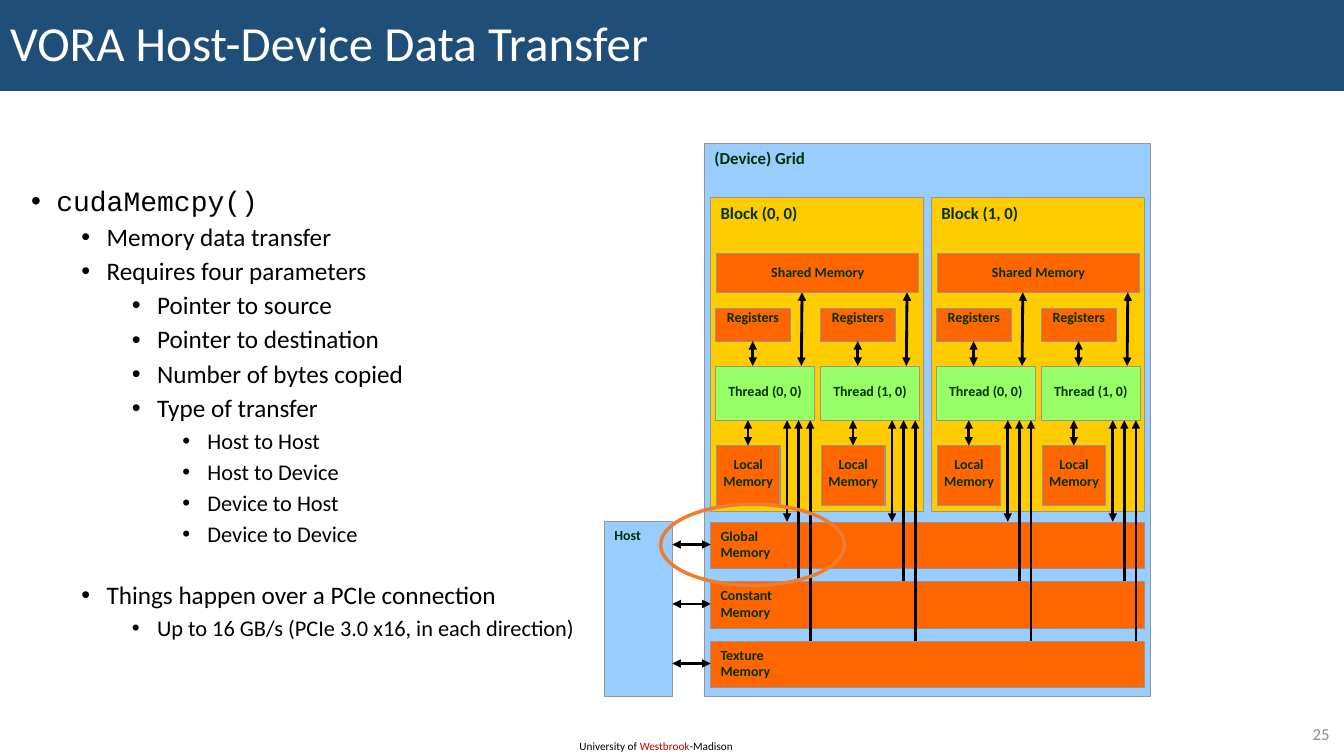
from lxml import etree
from pptx import Presentation
from pptx import util as u
from pptx.dml import color
from pptx.enum import shapes, text
from pptx.oxml import ns

BLUE, ORANGE, YELLOW, GREEN = "99CCFF", "FF6600", "FFCC00", "99FF66"
INK, GREY, BLACK = "003300", "969696", "000000"
LEFT, CENTER, RIGHT = text.PP_ALIGN.LEFT, text.PP_ALIGN.CENTER, text.PP_ALIGN.RIGHT
MEMORY_LEFT, MEMORY_TOP, MEMORY_STEP = 507.6, 373, 42.5
BLOCK_STEP, THREAD_STEP = 157.7, 75
THREAD_TOP, THREAD_BOTTOM = 262, 300.2


def rgb(value):
    return color.RGBColor.from_string(value)


def points(*values):
    return [u.Pt(value) for value in values]


def write(para, content, size=10, ink=BLACK, font="Calibri", bold=False, align=LEFT):
    para.alignment = align
    span = para.add_run()
    span.text = content
    span.font.size = u.Pt(size)
    span.font.name = font
    span.font.bold = bold
    span.font.color.rgb = rgb(ink)


def add_text(page, left, top, width, height, wrap=True):
    frame = page.shapes.add_textbox(*points(left, top, width, height)).text_frame
    frame.word_wrap = wrap
    return frame


def add_box(page, left, top, width, height, fill, lines, size=10, inset=None):
    box = page.shapes.add_shape(shapes.MSO_SHAPE.RECTANGLE, *points(left, top, width, height))
    box.shadow.inherit = False
    box.fill.solid()
    box.fill.fore_color.rgb = rgb(fill)
    box.line.color.rgb = rgb(GREY)
    box.line.width = u.Pt(0.75)
    frame = box.text_frame
    frame.word_wrap = True
    frame.vertical_anchor = text.MSO_ANCHOR.TOP
    if inset is not None:
        frame.margin_left = frame.margin_right = frame.margin_bottom = 0
        frame.margin_top = u.Pt(inset)
    for index, line in enumerate(lines):
        para = frame.add_paragraph() if index else frame.paragraphs[0]
        write(para, line, size=size, ink=INK, bold=True, align=LEFT if inset is None else CENTER)


def add_arrow(page, x1, y1, x2, y2, ends=("headEnd", "tailEnd")):
    arrow = page.shapes.add_connector(shapes.MSO_CONNECTOR.STRAIGHT, *points(x1, y1, x2, y2))
    arrow.line.color.rgb = rgb(BLACK)
    arrow.line.width = u.Pt(2)
    line = arrow.line._get_or_add_ln()
    for end in ends:
        etree.SubElement(line, ns.qn(f"a:{end}"), type="triangle")
    etree.SubElement(arrow._element.spPr, ns.qn("a:effectLst"))


def add_title(page):
    title = page.shapes.title
    title.left, title.top, title.width, title.height = points(0, 0, 960, 65)
    title.fill.solid()
    title.fill.fore_color.rgb = rgb("1F4E79")
    frame = title.text_frame
    frame.auto_size = text.MSO_AUTO_SIZE.NONE
    frame.vertical_anchor = text.MSO_ANCHOR.MIDDLE
    para = frame.paragraphs[0]
    para.line_spacing = 0.9
    write(para, "VORA Host-Device Data Transfer", size=35, ink="FFFFFF")


def add_bullets(page):
    bullets = [
        (0, 20, 10, "cudaMemcpy()"),
        (1, 18, 5, "Memory data transfer"),
        (1, 18, 5, "Requires four parameters"),
        (2, 18, 5, "Pointer to source"),
        (2, 18, 5, "Pointer to destination"),
        (2, 18, 5, "Number of bytes copied"),
        (2, 18, 5, "Type of transfer"),
        (3, 16, 5, "Host to Host"),
        (3, 16, 5, "Host to Device"),
        (3, 16, 5, "Device to Host"),
        (3, 16, 5, "Device to Device"),
        (1, 18, 25.4, "Things happen over a PCIe connection"),
        (2, 16, 5, "Up to 16 GB/s (PCIe 3.0 x16, in each direction)"),
    ]
    frame = add_text(page, 15.1, 130.3, 409.7, 343.4)
    for index, (level, size, before, content) in enumerate(bullets):
        para = frame.add_paragraph() if index else frame.paragraphs[0]
        para.level = level
        para.line_spacing = 0.9
        para.space_before = u.Pt(before)
        write(para, content, size=size, font="Calibri" if level else "Courier New")
        properties = para._p.get_or_add_pPr()
        properties.set("marL", str(u.Pt(18 + 36 * level)))
        properties.set("indent", str(u.Pt(-18)))
        etree.SubElement(properties, ns.qn("a:buFont"), typeface="Arial")
        etree.SubElement(properties, ns.qn("a:buChar"), char="•")


def add_thread(page, left, name):
    add_box(page, left + 0.7, 318.2, 45.4, 43.2, ORANGE, ["Local", "Memory"], inset=7.2)
    add_box(page, left, THREAD_TOP, 70.6, 38.2, GREEN, [name], inset=11.5)
    add_box(page, left, 220.3, 53.5, 23.6, ORANGE, ["Registers"], inset=0)
    add_arrow(page, left + 61.3, 261.4, left + 61.8, 208.8)
    add_arrow(page, left + 26.6, 261.4, left + 26.6, 243.7)
    add_arrow(page, left + 23.2, 318.2, left + 23.2, THREAD_BOTTOM)
    for row, (offset, ends) in enumerate([
        (51.1, ("headEnd", "tailEnd")), (59.3, ("headEnd",)), (67.6, ("headEnd",)),
    ]):
        x = left + offset
        add_arrow(page, x, THREAD_BOTTOM, x, MEMORY_TOP + MEMORY_STEP * row - 0.3, ends)


def add_block(page, column):
    left = MEMORY_LEFT + BLOCK_STEP * column
    add_box(page, left, 141.1, 152.1, 224.1, YELLOW, [f"Block ({column}, 0)"], size=12)
    add_box(page, left + 4.2, 181.3, 144.6, 27.4, ORANGE, ["Shared Memory"], inset=7.2)
    for thread in range(2):
        add_thread(page, left + 3.5 + THREAD_STEP * thread, f"Thread ({thread}, 0)")


def add_device(page):
    memories = ["Global", "Constant", "Texture"]
    add_box(page, 503.3, 102.3, 318.5, 395.2, BLUE, ["(Device) Grid"], size=12)
    for row, memory in enumerate(memories):
        top = MEMORY_TOP + MEMORY_STEP * row
        add_box(page, MEMORY_LEFT, top, 309.8, 33.4, ORANGE, [memory, "Memory"])
    for column in range(2):
        add_block(page, column)
    add_box(page, 431.8, 372.3, 48.4, 125.5, BLUE, ["Host"])
    for row in range(len(memories)):
        y = 388.9 + MEMORY_STEP * row
        add_arrow(page, 480.3, y, MEMORY_LEFT, y)


def add_highlight(page):
    ring = page.shapes.add_shape(
        shapes.MSO_SHAPE.FLOWCHART_CONNECTOR, *points(471.9, 360.2, 131.3, 58))
    ring.shadow.inherit = False
    ring.fill.background()
    ring.line.color.rgb = rgb("ED7D31")
    ring.line.width = u.Pt(2.5)


def add_footer(page):
    credit = add_text(page, 406.8, 524.2, 123.8, 17.3, wrap=False).paragraphs[0]
    for content, ink in [("University of ", BLACK), ("Westbrook", "C00000"), ("-Madison", BLACK)]:
        write(credit, content, size=8, ink=ink)
    number = add_text(page, 902.2, 513.4, 54.7, 20.9)
    number.vertical_anchor = text.MSO_ANCHOR.MIDDLE
    write(number.paragraphs[0], "25", size=12, ink="8C8C8C", align=RIGHT)


def main():
    deck = Presentation()
    deck.slide_width, deck.slide_height = points(960, 540)
    page = deck.slides.add_slide(deck.slide_layouts.get_by_name("Title Only"))
    add_title(page)
    add_bullets(page)
    add_device(page)
    add_highlight(page)
    add_footer(page)
    deck.save("out.pptx")


if __name__ == "__main__":
    main()
